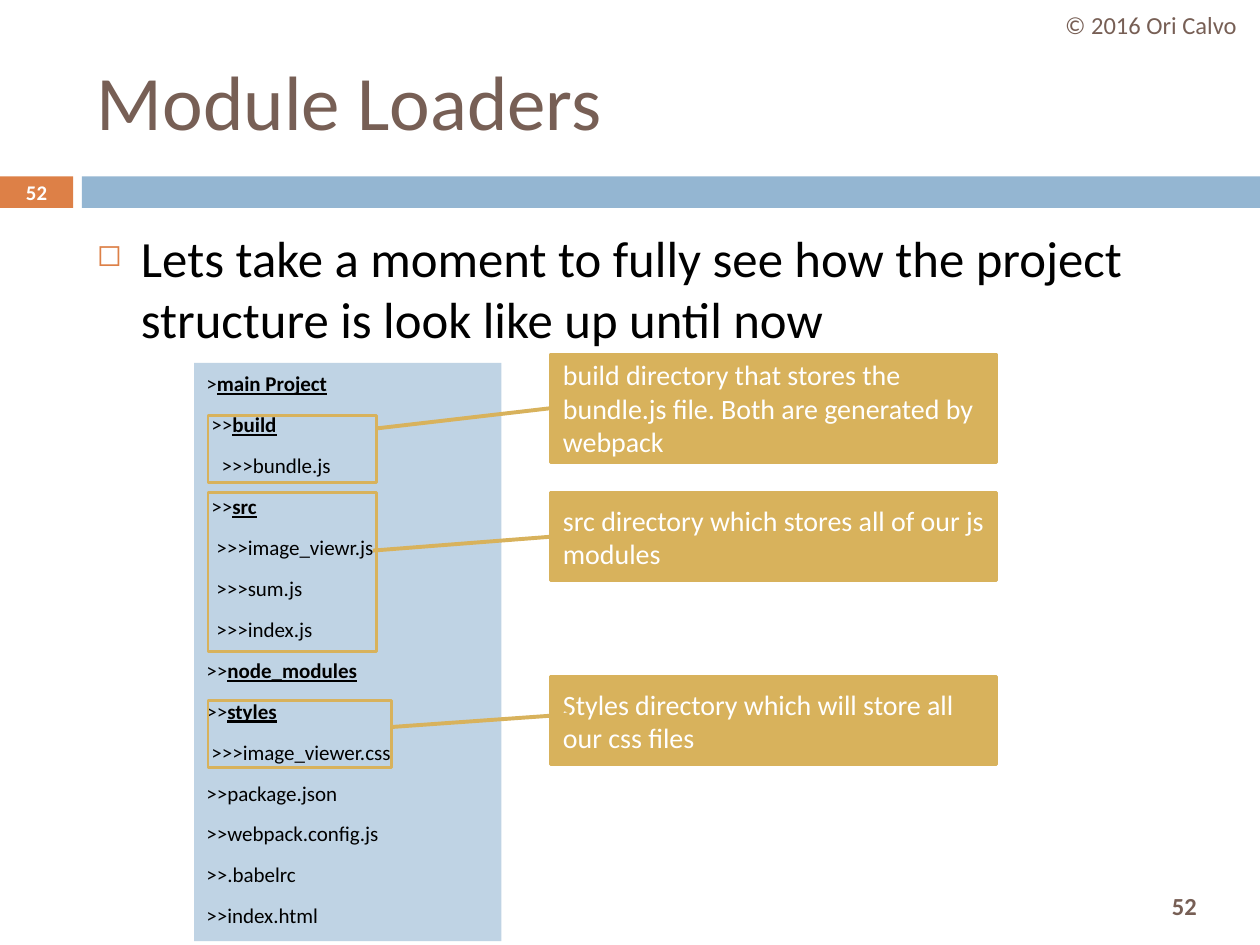
import pptx
import pptx.util
import pptx.dml.color
import pptx.enum.shapes
import pptx.enum.text
import lxml.etree

Inches = pptx.util.Inches
Pt = pptx.util.Pt
ALIGN = pptx.enum.text.PP_ALIGN
ANCHOR = pptx.enum.text.MSO_ANCHOR

BROWN, ORANGE, BLUE = "775F55", "DD8047", "94B6D2"
PALE, GOLD, WHITE, BLACK = "BFD3E4", "D8B25C", "FFFFFF", "000000"
SPACE = 0.04  # one indent step in the file tree

# Indent steps, arrows, name, whether it is a directory
TREE = [
    (0, ">", "main Project", True),
    (1, ">>", "build", True),
    (3, ">>>", "bundle.js", False),
    (1, ">>", "src", True),
    (2, ">>>", "image_viewr.js", False),
    (2, ">>>", "sum.js", False),
    (2, ">>>", "index.js", False),
    (0, ">>", "node_modules", True),
    (0, ">>", "styles", True),
    (1, ">>>", "image_viewer.css", False),
    (0, ">>", "package.json", False),
    (0, ">>", "webpack.config.js", False),
    (0, ">>", ".babelrc", False),
    (0, ">>", "index.html", False),
]

# Frame box, note box, note text, line start, line end
NOTES = [
    ((1.65, 3.3, 1.34, 0.53), (4.37, 2.81, 3.54, 0.86),
     "build directory that stores the bundle.js file. Both are generated by webpack",
     (2.99, 3.4), (4.37, 3.24)),
    ((1.65, 3.91, 1.34, 1.26), (4.37, 3.91, 3.54, 0.7),
     "src directory which stores all of our js modules",
     (2.96, 4.37), (4.37, 4.26)),
    ((1.65, 5.56, 1.46, 0.53), (4.37, 5.37, 3.54, 0.7),
     "Styles directory which will store all our css files",
     (3.11, 5.77), (4.52, 5.67)),
]


def color(code):
    return pptx.dml.color.RGBColor.from_string(code)


def style(para, size, code, bold=False):
    font = para.font
    font.name, font.size, font.bold = "Calibri", Pt(size), bold
    font.color.rgb = color(code)


def add_tag(parent, name, **attrs):
    tag = lxml.etree.SubElement(parent, pptx.oxml.ns.qn(name))
    for key, value in attrs.items():
        tag.set(key, value)
    return tag


def indent(para, left, first=0):
    props = para._p.get_or_add_pPr()
    props.set("marL", str(Inches(left)))
    props.set("indent", str(Inches(first)))
    return props


def add_rect(slide, box, fill=None, line=None):
    kind = pptx.enum.shapes.MSO_SHAPE.RECTANGLE
    shape = slide.shapes.add_shape(kind, *map(Inches, box))
    shape.shadow.inherit = False
    if fill:
        shape.fill.solid()
        shape.fill.fore_color.rgb = color(fill)
    else:
        shape.fill.background()
    if line:
        shape.line.color.rgb = color(line)
        shape.line.width = Pt(1.5)
    else:
        shape.line.fill.background()
    return shape


def add_text(slide, box, text, size, code, bold=False,
             align=ALIGN.LEFT, anchor=ANCHOR.MIDDLE):
    frame = slide.shapes.add_textbox(*map(Inches, box)).text_frame
    frame.word_wrap = True
    frame.vertical_anchor = anchor
    para = frame.paragraphs[0]
    para.text, para.alignment = text, align
    style(para, size, code, bold)
    return para


def add_band(slide, box):
    """Orange number cell and blue bar, split by a small gap."""
    left, top, width, height = box
    cell, start = 0.58, 0.65
    add_rect(slide, (left, top, cell, height), ORANGE)
    add_rect(slide, (left + start, top, width - start, height), BLUE)
    add_text(slide, (left, top, cell, height), "52", 11.9, WHITE, True, ALIGN.CENTER)


def add_point(slide, box):
    """Bulleted statement."""
    para = add_text(
        slide, box,
        "Lets take a moment to fully see how the project structure is look like up until now",
        29, BLACK, anchor=ANCHOR.TOP)
    props = indent(para, 0.35, -0.35)
    add_tag(add_tag(props, "a:buClr"), "a:srgbClr", val=ORANGE)
    add_tag(props, "a:buSzPct", val="60000")
    add_tag(props, "a:buChar", char="◻")


def add_tree(slide, box):
    """Project files on a pale panel."""
    frame = add_rect(slide, box, PALE).text_frame
    frame.word_wrap = True
    frame.vertical_anchor = ANCHOR.TOP
    for row, (steps, arrows, name, folder) in enumerate(TREE):
        para = frame.add_paragraph() if row else frame.paragraphs[0]
        indent(para, steps * SPACE)
        para.alignment = ALIGN.LEFT
        para.line_spacing, para.space_after = 1.07, Pt(8)
        style(para, 12, BLACK)
        if folder:
            para.add_run().text = arrows
            run = para.add_run()
            run.text = name
            run.font.bold = run.font.underline = True
        else:
            para.add_run().text = arrows + name


def add_note(slide, frame, box, text, start, end):
    """Frame around files, a gold note, and the line between them."""
    add_rect(slide, frame, line=GOLD)
    body = add_rect(slide, box, GOLD, GOLD).text_frame
    body.word_wrap = True
    body.vertical_anchor = ANCHOR.MIDDLE
    para = body.paragraphs[0]
    para.text, para.alignment = text, ALIGN.LEFT
    style(para, 16, WHITE)
    kind = pptx.enum.shapes.MSO_CONNECTOR.STRAIGHT
    link = slide.shapes.add_connector(kind, *map(Inches, start + end))
    link.line.color.rgb = color(GOLD)
    link.line.width = Pt(2.25)
    add_tag(link._element.spPr, "a:effectLst")


def main():
    deck = pptx.Presentation()
    deck.slide_width, deck.slide_height = Inches(10), Inches(7.5)
    slide = deck.slides.add_slide(deck.slide_layouts[6])

    # Header and page number
    add_band(slide, (0, 1.4, 10, 0.25))
    add_text(slide, (8.94, 6.98, 0.92, 0.42), "52", 14, BROWN, True, ALIGN.CENTER)
    add_text(slide, (0.67, 0.25, 8.92, 1.08), "Module Loaders", 44, BROWN)
    add_text(slide, (8.27, 0, 1.73, 0.4), "© 2016 Ori Calvo", 14, BROWN,
             align=ALIGN.CENTER)

    # Content
    add_point(slide, (0.67, 1.75, 8.92, 1.13))
    add_tree(slide, (1.54, 2.88, 2.44, 4.59))
    for note in NOTES:
        add_note(slide, *note)

    deck.save("out.pptx")


if __name__ == "__main__":
    main()
